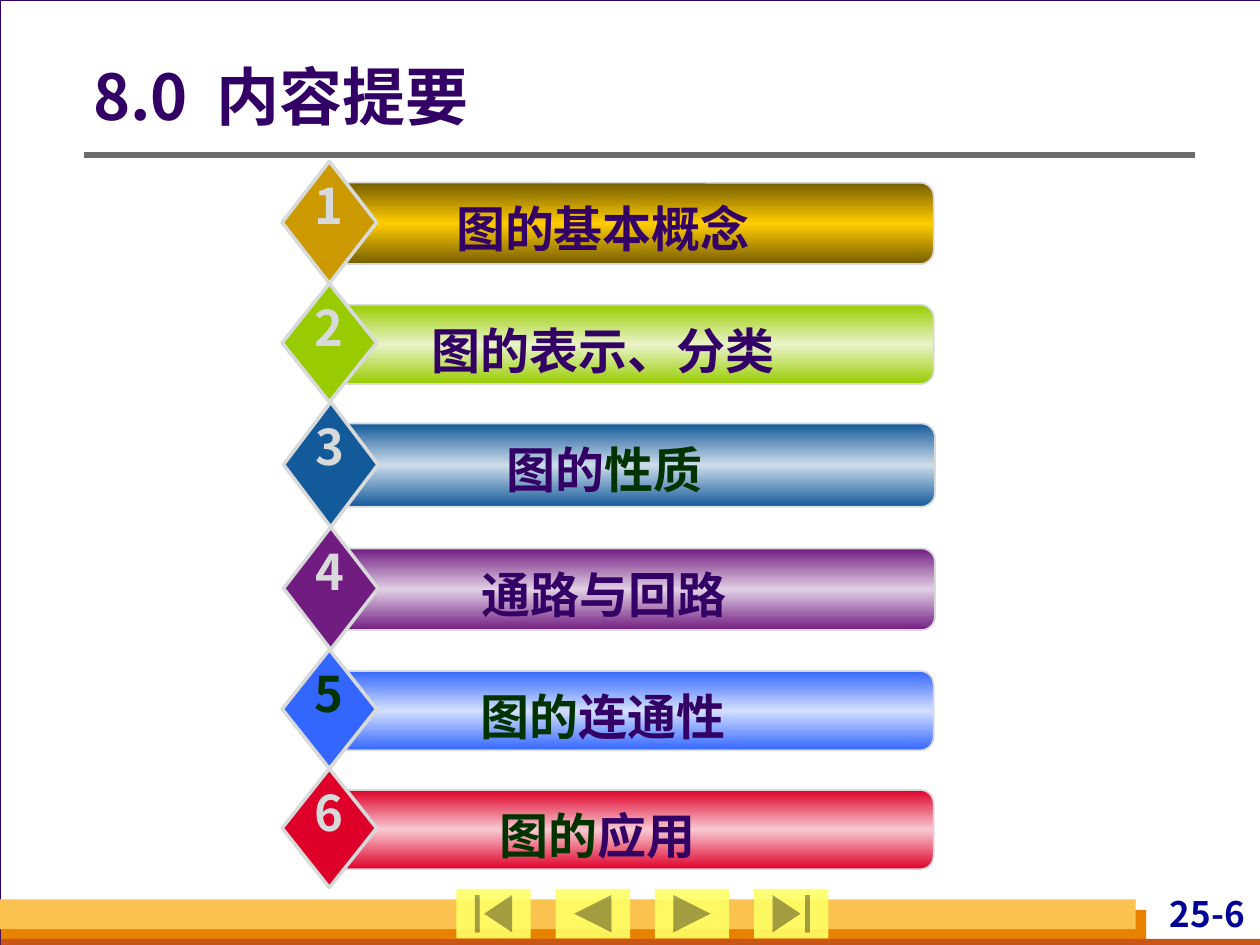
from copy import deepcopy

from lxml.etree import SubElement
from pptx import Presentation
from pptx.dml.color import RGBColor
from pptx.enum.shapes import MSO_CONNECTOR, MSO_SHAPE
from pptx.enum.text import MSO_ANCHOR, PP_ALIGN
from pptx.oxml.ns import qn
from pptx.util import Pt

FONT = "Noto Sans CJK SC"
WHITE = RGBColor(0xFF, 0xFF, 0xFF)
SILVER = RGBColor(0xD8, 0xDA, 0xDA)
INDIGO = RGBColor(0x33, 0x00, 0x66)
FOREST = RGBColor(0x00, 0x33, 0x00)
NAVY = RGBColor(0x00, 0x00, 0x99)
GRAY = RGBColor(0x6B, 0x6B, 0x6B)
ORANGE = RGBColor(0xE8, 0x80, 0x00)
RUST = RGBColor(0xC9, 0x56, 0x16)
AMBER = RGBColor(0xFC, 0xC2, 0x4F)
YELLOW = RGBColor(0xFF, 0xFF, 0x66)
GOLD = RGBColor(0xCC, 0x99, 0x00)
BRONZE = RGBColor(0x76, 0x5E, 0x00)
BRIGHT_GOLD = RGBColor(0xFF, 0xCC, 0x00)
LIME = RGBColor(0x99, 0xCC, 0x00)
PALE_LIME = RGBColor(0xE9, 0xF4, 0xC9)
STEEL = RGBColor(0x13, 0x5A, 0x9A)
PALE_STEEL = RGBColor(0xCD, 0xDC, 0xEA)
PURPLE = RGBColor(0x71, 0x1C, 0x81)
PALE_PURPLE = RGBColor(0xE1, 0xCF, 0xE4)
BLUE = RGBColor(0x33, 0x66, 0xFF)
PALE_BLUE = RGBColor(0xD4, 0xDF, 0xFF)
RED = RGBColor(0xDF, 0x00, 0x29)
PALE_RED = RGBColor(0xF8, 0xC9, 0xD2)

TITLE = [("8.0", INDIGO), (" ", INDIGO), ("内容提要", INDIGO)]
PAGE = [("25-6", NAVY)]
TOPICS = [
    ([("图的基本概念", INDIGO)], SILVER, GOLD, BRONZE, BRIGHT_GOLD, 161.2, 69.8),
    ([("图的表示、分类", INDIGO)], SILVER, LIME, LIME, PALE_LIME, 161.2, 67.8),
    ([("图的", INDIGO), ("性质", FOREST)], SILVER, STEEL, STEEL, PALE_STEEL, 162, 71.4),
    ([("通路与回路", INDIGO)], SILVER, PURPLE, PURPLE, PALE_PURPLE, 162, 70),
    ([("图的", FOREST), ("连通性", INDIGO)], FOREST, BLUE, BLUE, PALE_BLUE, 161.2, 68),
    ([("图的", FOREST), ("应用 ", INDIGO)], SILVER, RED, RED, PALE_RED, 161.2, 68),
]
TOPICS_TOP = 92.2
BANDS = [
    (0, 0, 720.5, 540, WHITE, INDIGO),
    (0.5, 520, 654.5, 20, ORANGE, None),
    (0.5, 536.5, 720, 5.5, RUST, None),
    (0, 514, 649, 17, AMBER, None),
]
BUTTONS = [
    MSO_SHAPE.ACTION_BUTTON_BEGINNING,
    MSO_SHAPE.ACTION_BUTTON_BACK_OR_PREVIOUS,
    MSO_SHAPE.ACTION_BUTTON_FORWARD_OR_NEXT,
    MSO_SHAPE.ACTION_BUTTON_END,
]


def add_shape(s, kind, box, fill=None, line=None, width=1):
    sp = s.shapes.add_shape(kind, *map(Pt, box))
    sp.shadow.inherit = False
    if fill is not None:
        sp.fill.solid()
        sp.fill.fore_color.rgb = fill
    if line is None:
        sp.line.fill.background()
    else:
        sp.line.color.rgb = line
        sp.line.width = Pt(width)
    return sp


def write(tf, runs, size, align, margins, **frame):
    sides = ("margin_left", "margin_top", "margin_right", "margin_bottom")
    for name, value in {**dict(zip(sides, map(Pt, margins))), **frame}.items():
        setattr(tf, name, value)
    p = tf.paragraphs[0]
    p.alignment = align
    for text, color in runs:
        r = p.add_run()
        r.text = text
        for name, value in {"size": Pt(size), "bold": True, "name": FONT}.items():
            setattr(r.font, name, value)
        r.font.color.rgb = color
        SubElement(r.font._element, qn("a:ea"), typeface=FONT)
    return p


def add_text(s, box, runs, size=28, align=PP_ALIGN.CENTER,
             margins=(7.2, 3.6, 7.2, 3.6), wrap=True):
    sp = s.shapes.add_textbox(*map(Pt, box))
    write(sp.text_frame, runs, size, align, margins, word_wrap=wrap)


def add_frame(s):
    for *box, fill, line in BANDS:
        add_shape(s, MSO_SHAPE.RECTANGLE, box, fill, line, 0.75)
    add_text(s, (626.4, 509.8, 87.8, 27.4), PAGE, 20, PP_ALIGN.RIGHT, (2.9, 0, 2.9, 0))
    rule = s.shapes.add_connector(MSO_CONNECTOR.STRAIGHT, Pt(48), Pt(88.5), Pt(683), Pt(88.5))
    rule.line.color.rgb = GRAY
    rule.line.width = Pt(3)
    SubElement(rule.element.spPr, qn("a:effectLst"))
    for i, kind in enumerate(BUTTONS):
        button = add_shape(s, kind, (260.8 + 56.7 * i, 508, 42.5, 28.3), YELLOW)
        color = button.element.spPr.find(qn("a:solidFill"))[0]
        SubElement(color, qn("a:alpha"), val="90000")


def add_title(s):
    title = s.shapes.title
    title.element.getparent().append(title.element)
    for name, value in zip(("left", "top", "width", "height"), (53.3, 29.5, 625, 55.4)):
        setattr(title, name, Pt(value))
    p = write(title.text_frame, TITLE, 36, PP_ALIGN.LEFT, (0, 3.6, 7.2, 3.6),
              word_wrap=True, vertical_anchor=MSO_ANCHOR.MIDDLE)
    p.line_spacing = 0.9
    p.runs[1].font._element.set("spc", "800")


def add_topic(s, number, top, topic):
    label, number_color, color, edge, middle, left, height = topic
    bar = add_shape(s, MSO_SHAPE.ROUNDED_RECTANGLE,
                    (left + 30.3, top + 12.2, 342, height * 2 / 3), None, SILVER)
    bar.fill.gradient()
    bar.fill.gradient_angle = 90
    stops = bar.element.spPr.find(qn("a:gradFill")).find(qn("a:gsLst"))
    stops.append(deepcopy(stops[0]))
    for stop, position, shade in zip(bar.fill.gradient_stops, (0, 0.5, 1), (edge, middle, edge)):
        stop.position = position
        stop.color.rgb = shade
    add_shape(s, MSO_SHAPE.DIAMOND, (left, top, 54, height), color, SILVER, 2)
    add_text(s, (left + 48.3, top + 17.8, 270, 41), label)
    add_text(s, (left + 11.2, top + 4.5, 30.2, 41), [(str(number), number_color)], wrap=False)


def main():
    """Build the chapter outline slide."""
    prs = Presentation()
    prs.slide_width, prs.slide_height = Pt(720), Pt(540)
    s = prs.slides.add_slide(prs.slide_layouts[5])
    s.background.fill.solid()
    s.background.fill.fore_color.rgb = SILVER
    add_frame(s)
    add_title(s)
    top = TOPICS_TOP
    for number, topic in enumerate(TOPICS, 1):
        add_topic(s, number, top, topic)
        top += topic[-1]
    prs.save("out.pptx")


if __name__ == "__main__":
    main()
